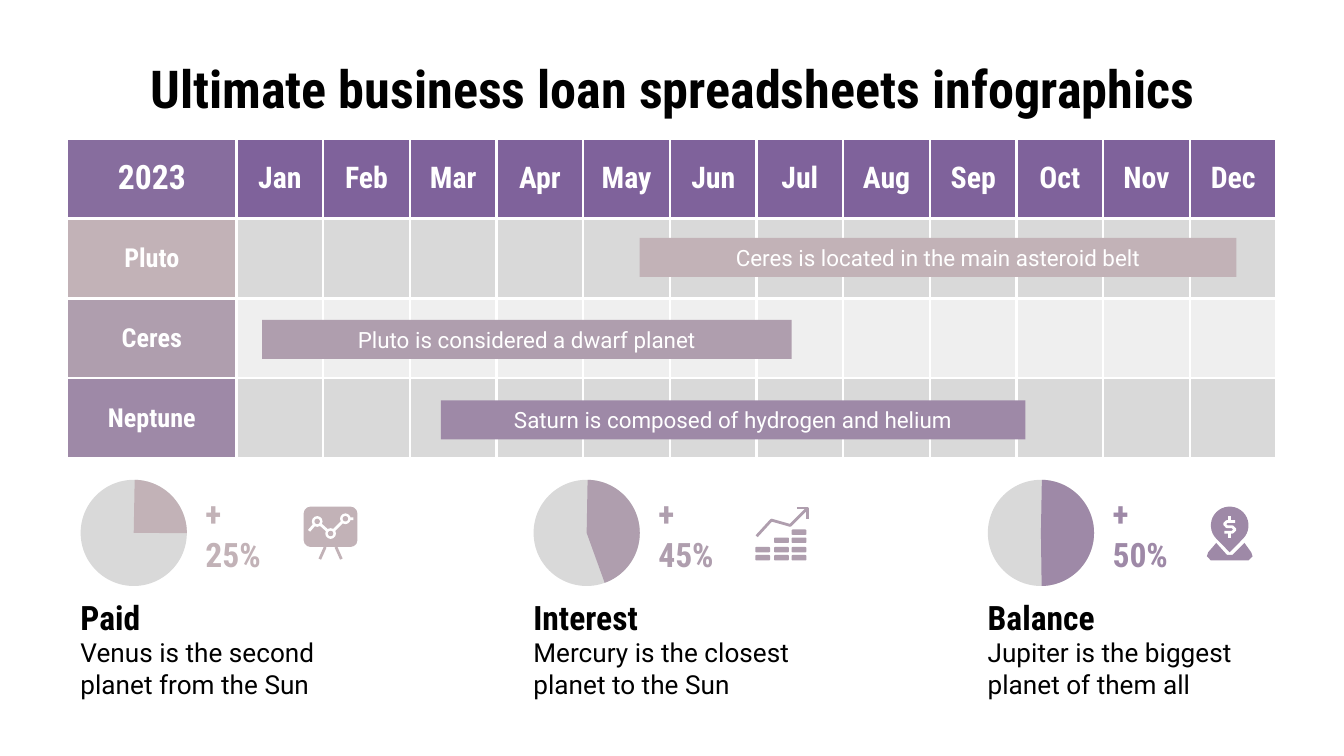
from dataclasses import dataclass
from math import cos, radians, sin

from lxml.etree import SubElement
from pptx import Presentation
from pptx.dml.color import RGBColor
from pptx.enum.shapes import MSO_SHAPE as Shape
from pptx.enum.text import MSO_ANCHOR as Anchor, MSO_AUTO_SIZE as AutoSize, PP_ALIGN as Align
from pptx.oxml.ns import qn
from pptx.util import Inches, Pt

BLACK = RGBColor(0x00, 0x00, 0x00)
WHITE = RGBColor(0xFF, 0xFF, 0xFF)
YEAR = RGBColor(0x87, 0x6D, 0x9E)
MONTH = RGBColor(0x7F, 0x62, 0x9B)
ROSE = RGBColor(0xC2, 0xB2, 0xB7)
MAUVE = RGBColor(0xAF, 0x9E, 0xAE)
PURPLE = RGBColor(0x9E, 0x89, 0xA7)
GRAY = RGBColor(0xD9, 0xD9, 0xD9)
PALE = RGBColor(0xEF, 0xEF, 0xEF)
BODY_FONT = "Roboto"
HEAD_FONT = "Roboto Condensed"
MONTHS = ("Jan", "Feb", "Mar", "Apr", "May", "Jun", "Jul", "Aug", "Sep", "Oct", "Nov", "Dec")
TABLE_WIDTH, LABEL_WIDTH, TABLE_HEIGHT = 9, 1.26, 2.38

Points = list[tuple[float, float]]


@dataclass
class Row:
    label: str
    size: int
    label_color: RGBColor
    cell_color: RGBColor
    months: tuple[str, ...] = ("",) * 12


@dataclass
class Bar:
    text: str
    left: float
    top: float
    width: float
    color: RGBColor


@dataclass
class Metric:
    left: float
    percent: str
    heading: str
    detail: str
    color: RGBColor
    pie_end: float


ROWS = (
    Row("2023", 18, YEAR, MONTH, MONTHS),
    Row("Pluto", 14, ROSE, GRAY),
    Row("Ceres", 14, MAUVE, PALE),
    Row("Neptune", 14, PURPLE, GRAY),
)
BARS = (
    Bar("Pluto is considered a dwarf planet", 1.95, 2.38, 3.94, MAUVE),
    Bar("Ceres is located in the main asteroid belt", 4.76, 1.77, 4.44, ROSE),
    Bar("Saturn is composed of hydrogen and helium", 3.28, 2.98, 4.35, PURPLE),
)
METRICS = (
    Metric(0.5, "+ 25%", "Paid", "Venus is the second planet from the Sun", ROSE, 0.16),
    Metric(3.87, "+ 45%", "Interest", "Mercury is the closest planet to the Sun", MAUVE, 42.07),
    Metric(7.25, "+ 50%", "Balance", "Jupiter is the biggest planet of them all", PURPLE, 53.52),
)


def write(frame, text: str, size: int, color: RGBColor, font=HEAD_FONT, align=Align.CENTER) -> None:
    para = frame.paragraphs[0]
    para.alignment = align
    span = para.add_run()
    span.text = text
    span.font.size = Pt(size)
    span.font.name = font
    span.font.bold = font == HEAD_FONT
    span.font.color.rgb = color


def pad(frame) -> None:
    frame.word_wrap = True
    frame.auto_size = AutoSize.NONE
    frame.vertical_anchor = Anchor.MIDDLE
    frame.margin_left = frame.margin_right = Inches(0.1)
    frame.margin_top = frame.margin_bottom = Inches(0.1)


def add_label(slide, left: float, top: float, width: float, height: float, *style) -> None:
    box = slide.shapes.add_textbox(Inches(left), Inches(top), Inches(width), Inches(height))
    pad(box.text_frame)
    write(box.text_frame, *style, align=Align.LEFT)


def add_solid(slide, kind, left: float, top: float, width: float, height: float,
              color: RGBColor, adjustments: tuple[float, ...] = ()):
    shape = slide.shapes.add_shape(kind, Inches(left), Inches(top), Inches(width), Inches(height))
    shape.shadow.inherit = False
    shape.fill.solid()
    shape.fill.fore_color.rgb = color
    shape.line.fill.background()
    for index, value in enumerate(adjustments):
        shape.adjustments[index] = value
    return shape


def add_outline(slide, points: Points, color: RGBColor, weight: float = 0) -> None:
    corners = [(Inches(x), Inches(y)) for x, y in points]
    builder = slide.shapes.build_freeform(*corners[0])
    builder.add_line_segments(corners[1:], close=not weight)
    shape = builder.convert_to_shape()
    shape.shadow.inherit = False
    if weight:
        shape.fill.background()
        shape.line.color.rgb = color
        shape.line.width = Pt(weight)
    else:
        shape.fill.solid()
        shape.fill.fore_color.rgb = color
        shape.line.fill.background()


def style_cell(cell, text: str, size: int, color: RGBColor) -> None:
    properties = cell._tc.get_or_add_tcPr()
    for side in ("a:lnL", "a:lnR", "a:lnT", "a:lnB"):
        border = SubElement(properties, qn(side), w=str(Pt(1.5)))
        fill = SubElement(border, qn("a:solidFill"))
        SubElement(fill, qn("a:srgbClr"), val=str(WHITE))
    cell.fill.solid()
    cell.fill.fore_color.rgb = color
    cell.vertical_anchor = Anchor.MIDDLE
    cell.margin_left = cell.margin_right = Inches(0.1)
    cell.margin_top = cell.margin_bottom = Inches(0.1)
    if text:
        write(cell.text_frame, text, size, WHITE)


def add_schedule(slide) -> None:
    table = slide.shapes.add_table(len(ROWS), len(MONTHS) + 1, Inches(0.5), Inches(1.03),
                                   Inches(TABLE_WIDTH), Inches(TABLE_HEIGHT)).table
    for column in table.columns:
        column.width = Inches((TABLE_WIDTH - LABEL_WIDTH) / len(MONTHS))
    table.columns[0].width = Inches(LABEL_WIDTH)
    for index, row in enumerate(ROWS):
        style_cell(table.cell(index, 0), row.label, row.size, row.label_color)
        for column, month in enumerate(row.months, 1):
            style_cell(table.cell(index, column), month, 16, row.cell_color)


def add_bar(slide, bar: Bar) -> None:
    shape = add_solid(slide, Shape.ROUNDED_RECTANGLE, bar.left, bar.top, bar.width, 0.29,
                      bar.color, (0,))
    pad(shape.text_frame)
    write(shape.text_frame, bar.text, 12, WHITE, BODY_FONT)


def add_metric(slide, metric: Metric) -> None:
    left, color = metric.left, metric.color
    add_solid(slide, Shape.OVAL, left + 0.1, 3.57, 0.79, 0.79, GRAY)
    add_solid(slide, Shape.PIE, left + 0.1, 3.57, 0.79, 0.79, color, (162.61, metric.pie_end))
    add_label(slide, left, 4.44, 2.25, 0.3, metric.heading, 18, BLACK)
    add_label(slide, left, 4.75, 2.25, 0.44, metric.detail, 14, BLACK, BODY_FONT)
    add_label(slide, left + 0.93, 3.82, 0.77, 0.3, metric.percent, 18, color)


def add_board_icon(slide) -> None:
    nodes = [(2.36, 3.88), (2.46, 3.97), (2.57, 3.86)]
    for top, foot in ((2.42, 2.38), (2.5, 2.54)):
        add_outline(slide, [(top, 4.07), (foot, 4.16)], ROSE, 1.5)
    add_solid(slide, Shape.ROUNDED_RECTANGLE, 2.26, 3.77, 0.4, 0.3, ROSE, (0.17,))
    add_outline(slide, [(2.3, 3.95), *nodes, (2.63, 3.86)], WHITE, 1.5)
    for x, y in nodes:
        for radius, color in ((0.04, WHITE), (0.02, ROSE)):
            add_solid(slide, Shape.OVAL, x - radius, y - radius, 2 * radius, 2 * radius, color)


def add_coins_icon(slide) -> None:
    for stack, left in enumerate((5.62, 5.76, 5.89)):
        for top in (4.13, 4.07, 4.0, 3.94)[:stack + 2]:
            add_solid(slide, Shape.ROUNDED_RECTANGLE, left, top, 0.11, 0.04, MAUVE, (0.2,))
    add_outline(slide, [(5.63, 3.99), (5.74, 3.87), (5.88, 3.91), (6.01, 3.78)], MAUVE, 1.5)
    add_outline(slide, [(5.93, 3.78), (6.01, 3.78), (6.01, 3.86)], MAUVE, 1.5)


def add_pin_icon(slide) -> None:
    arc = [(9.15 + 0.14 * cos(radians(a)), 3.91 + 0.14 * sin(radians(a)))
           for a in range(135, 406, 10)]
    add_outline(slide, [*arc, (9.15, 4.11)], PURPLE)
    add_outline(slide, [(9.05, 4.04), (8.99, 4.11), (8.98, 4.14), (9.01, 4.17), (9.29, 4.17),
                        (9.32, 4.14), (9.31, 4.11), (9.26, 4.04), (9.17, 4.13), (9.13, 4.13)], PURPLE)
    add_outline(slide, [(9.19, 3.88), (9.13, 3.88), (9.11, 3.9), (9.13, 3.92), (9.17, 3.92),
                        (9.19, 3.94), (9.17, 3.96), (9.11, 3.96)], WHITE, 1.5)
    for top, bottom in ((3.84, 3.88), (3.96, 4.0)):
        add_outline(slide, [(9.15, top), (9.15, bottom)], WHITE, 1.5)


def main() -> None:
    deck = Presentation()
    deck.slide_width, deck.slide_height = Inches(10), Inches(10 * 9 / 16)
    slide = deck.slides.add_slide(deck.slide_layouts[5])
    title = slide.shapes.title
    title.left, title.top, title.width, title.height = map(Inches, (0.5, 0.45, 9, 0.41))
    pad(title.text_frame)
    write(title.text_frame, "Ultimate business loan spreadsheets infographics", 28, BLACK)
    add_schedule(slide)
    for bar in BARS:
        add_bar(slide, bar)
    for metric in METRICS:
        add_metric(slide, metric)
    add_pin_icon(slide)
    add_coins_icon(slide)
    add_board_icon(slide)
    deck.save("out.pptx")


if __name__ == "__main__":
    main()
